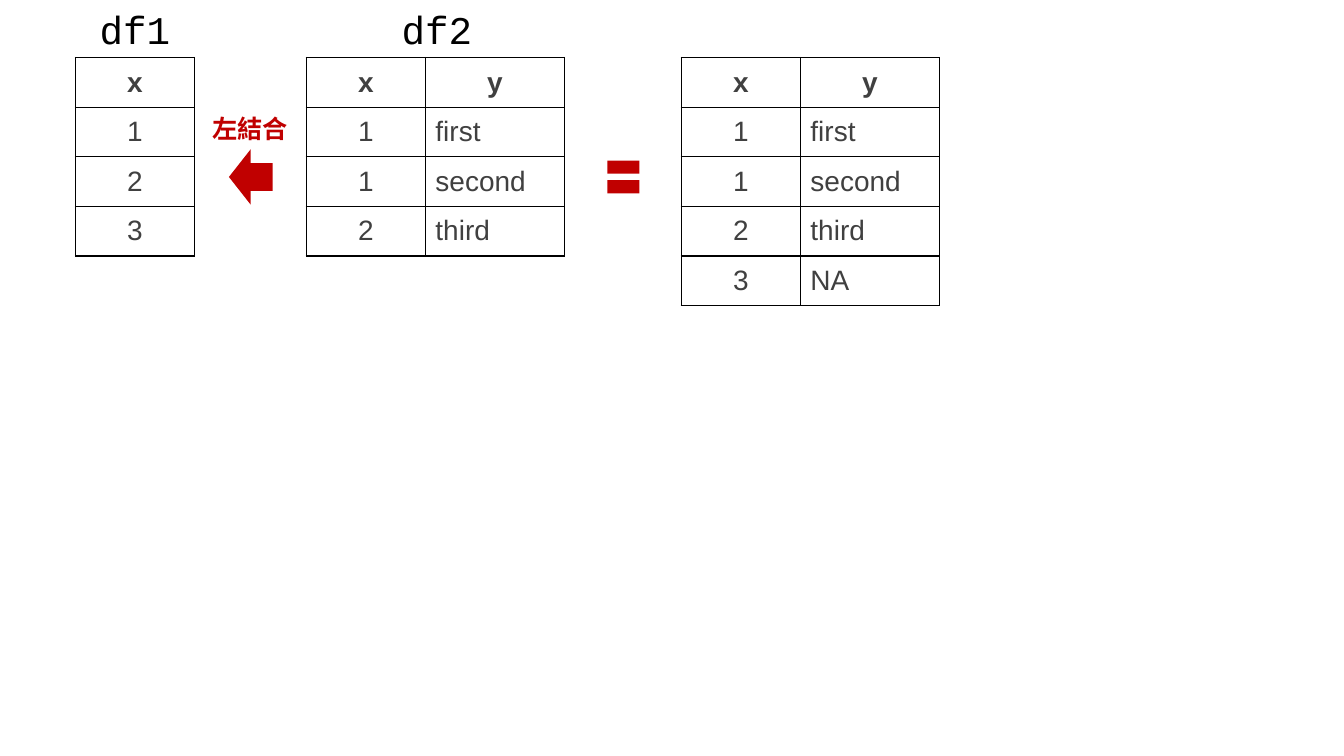
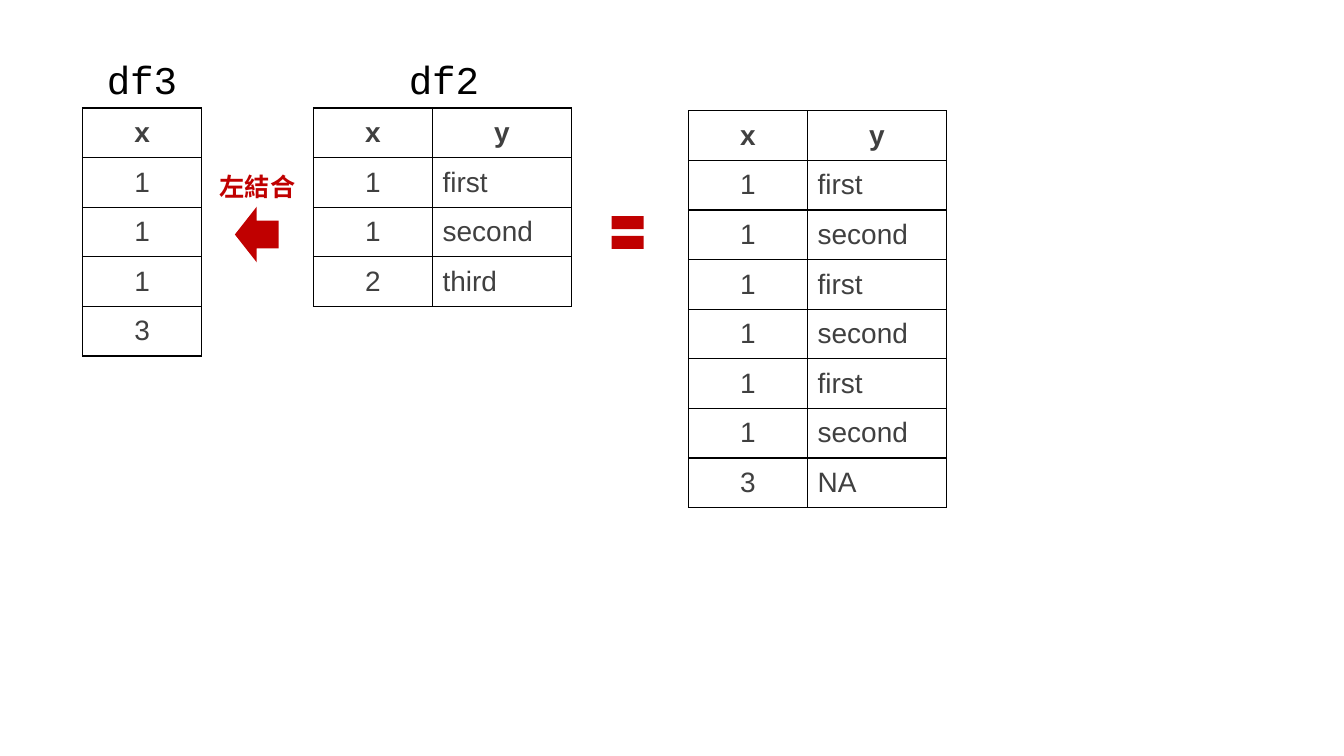
from lxml import etree
from pptx import Presentation
from pptx import util as u
from pptx.dml.color import RGBColor
from pptx.enum import shapes, text
from pptx.oxml.ns import qn

COLORS = {"ink": "000000", "cell": "404040", "accent": "C00000"}
KEY_W, VALUE_W, ROW_H = 3, 3.5, 1.25
TITLE_H = 1.45


def write(tf, txt, size=20, font="Arial", color="cell", bold=False, align=text.PP_ALIGN.CENTER):
    tf.word_wrap = True
    p = tf.paragraphs[0]
    p.alignment = align
    r = p.add_run()
    r.text = txt
    r.font.size = u.Pt(size)
    r.font.name = font
    r.font.bold = bold
    r.font.color.rgb = RGBColor.from_string(COLORS[color])


def add_grid(s, left, top, rows):
    widths = [KEY_W, VALUE_W][:len(rows[0])]
    frame = s.shapes.add_table(len(rows), len(widths), u.Cm(left), u.Cm(top),
                               u.Cm(sum(widths)), u.Cm(ROW_H * len(rows)))
    table = frame.table
    table.first_row = table.horz_banding = False
    for col, width in zip(table.columns, widths):
        col.width = u.Cm(width)
    for i, row in enumerate(rows):
        table.rows[i].height = u.Cm(ROW_H)
        for j, value in enumerate(row):
            cell = table.cell(i, j)
            cell.vertical_anchor = text.MSO_ANCHOR.MIDDLE
            centered = i == 0 or j == 0
            write(cell.text_frame, value, bold=i == 0,
                  align=text.PP_ALIGN.CENTER if centered else text.PP_ALIGN.LEFT)
            tc_pr = cell._tc.get_or_add_tcPr()
            for side in ("L", "R", "T", "B"):
                ln = etree.SubElement(tc_pr, qn("a:ln" + side), w=str(u.Pt(1)))
                fill = etree.SubElement(ln, qn("a:solidFill"))
                etree.SubElement(fill, qn("a:srgbClr"), val=COLORS["ink"])
            cell.fill.background()


right_rows = [("x", "y"), ("1", "first"), ("1", "second"), ("2", "third")]
joins = [
    {
        "name": "df1", "keys": "x123", "result": right_rows + [("3", "NA")],
        "left": 1.9, "top": 1.45, "result_top": 1.45, "label_top": 2.74,
        "arrow": (5.77, 3.76), "equal": (15.16, 3.76),
    },
    {
        "name": "df3", "keys": "x1113",
        "result": right_rows[:1] + right_rows[1:3] * 3 + [("3", "NA")],
        "left": 2.08, "top": 2.72, "result_top": 2.79, "label_top": 4.19,
        "arrow": (5.92, 5.21), "equal": (15.27, 5.16),
    },
]

prs = Presentation()
prs.slide_width, prs.slide_height = u.Cm(33.87), u.Cm(19.05)

for join in joins:
    s = prs.slides.add_slide(prs.slide_layouts[6])
    left, top = join["left"], join["top"]
    right = left + 5.82
    add_grid(s, left, top, [(key,) for key in join["keys"]])
    add_grid(s, right, top, right_rows)
    add_grid(s, left + 15.27, join["result_top"], join["result"])

    title = {"size": 28, "font": "Courier New", "color": "ink"}
    label = {"size": 18, "color": "accent", "bold": True}
    for txt, x, y, w, h, style in [
        (join["name"], left, top - TITLE_H, KEY_W, TITLE_H, title),
        ("df2", right, top - TITLE_H, KEY_W + VALUE_W + 0.08, TITLE_H, title),
        ("左結合", left + KEY_W, join["label_top"], 2.82, 1.02, label),
    ]:
        box = s.shapes.add_textbox(u.Cm(x), u.Cm(y), u.Cm(w), u.Cm(h))
        write(box.text_frame, txt, **style)

    for kind, (x, y) in [
        (shapes.MSO_SHAPE.LEFT_ARROW, join["arrow"]),
        (shapes.MSO_SHAPE.MATH_EQUAL, join["equal"]),
    ]:
        sp = s.shapes.add_shape(kind, u.Cm(x), u.Cm(y), u.Cm(1.1), u.Cm(1.4))
        sp.shadow.inherit = False
        sp.fill.solid()
        sp.fill.fore_color.rgb = RGBColor.from_string(COLORS["accent"])
        sp.line.fill.background()

prs.save("out.pptx")
